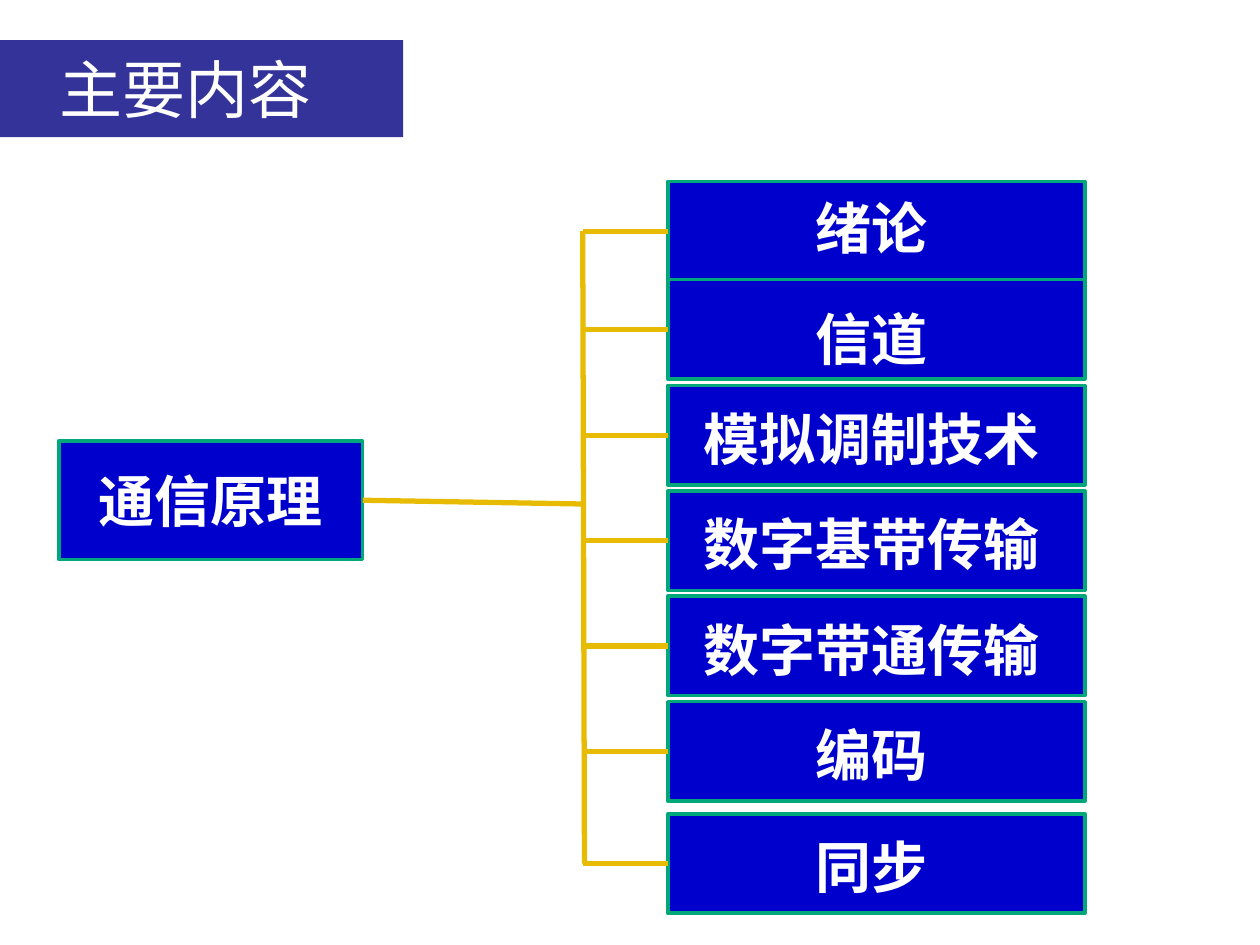
from lxml.etree import SubElement
from pptx import Presentation
from pptx.dml.color import RGBColor
from pptx.enum.shapes import MSO_CONNECTOR, MSO_SHAPE
from pptx.enum.text import MSO_ANCHOR, PP_ALIGN
from pptx.oxml.ns import qn
from pptx.util import Pt

TITLE_FILL = "333399"
BOX_FILL = "0000CC"
BOX_LINE = "00A77A"
BRANCH = "E7BB01"
WHITE = "FFFFFF"
TITLE_FONT = "Noto Sans CJK SC"
BODY_FONT = "Lato"


def color(value):
    return RGBColor.from_string(value)


class TreeSlide:
    def __init__(self, presentation):
        self.slide = presentation.slides.add_slide(presentation.slide_layouts[6])
        self.shapes = self.slide.shapes

    def rectangle(self, left, top, width, height, fill, line=None):
        shape = self.shapes.add_shape(
            MSO_SHAPE.RECTANGLE, Pt(left), Pt(top), Pt(width), Pt(height))
        shape.shadow.inherit = False
        shape.fill.solid()
        shape.fill.fore_color.rgb = color(fill)
        if line:
            shape.line.color.rgb = color(line)
            shape.line.width = Pt(2)
        else:
            shape.line.fill.background()
        return shape

    def add_text(self, shape, text, size, font, bold, align):
        shape.text_frame.word_wrap = True
        paragraph = shape.text_frame.paragraphs[0]
        paragraph.alignment = align
        run = paragraph.add_run()
        run.text = text
        run.font.size = Pt(size)
        run.font.bold = bold
        run.font.color.rgb = color(WHITE)
        run.font.name = font
        SubElement(run._r.get_or_add_rPr(), qn("a:ea"), typeface=font)

    def title(self, text):
        shape = self.rectangle(0, 23, 230.4, 55.4, TITLE_FILL)
        shape.text_frame.margin_left = Pt(34)
        shape.text_frame.vertical_anchor = MSO_ANCHOR.MIDDLE
        self.add_text(shape, text, 36, TITLE_FONT, False, PP_ALIGN.LEFT)

    def label(self, text, left, top, width):
        shape = self.shapes.add_textbox(Pt(left), Pt(top), Pt(width), Pt(46))
        self.add_text(shape, text, 32, BODY_FONT, True, PP_ALIGN.CENTER)

    def connector(self, start, end, box=None, side=None):
        line = self.shapes.add_connector(
            MSO_CONNECTOR.STRAIGHT, *(Pt(value) for value in (*start, *end)))
        line.line.color.rgb = color(BRANCH)
        line.line.width = Pt(3)
        SubElement(line._element.spPr, qn("a:effectLst"))
        if box is not None:
            line.begin_connect(box, side)


def main():
    presentation = Presentation()
    presentation.slide_width = Pt(720)
    presentation.slide_height = Pt(540)
    tree = TreeSlide(presentation)
    tree.title("主要内容")

    root = tree.rectangle(33.8, 252, 173.5, 67.7, BOX_FILL, BOX_LINE)
    tree.label("通信原理", 40.3, 262.8, 160.6)

    chapters = [
        ("绪论", 103.7, 3.6),
        ("信道", 159.8, 10.8),
        ("模拟调制技术", 220.3, 7.2),
        ("数字基带传输", 280.6, 7.2),
        ("数字带通传输", 340.7, 7.2),
        ("编码", 401, 7.2),
        ("同步", 465.1, 7.2),
    ]
    left, height, trunk = 381.6, 56.8, 333
    boxes = []
    for text, top, offset in chapters:
        box = tree.rectangle(left, top, 238.3, height, BOX_FILL, BOX_LINE)
        tree.label(text, 388.1, top + offset, 220.3)
        boxes.append((box, top + height / 2))

    tree.connector((207.3, 285.85), (trunk, 288), root, 3)
    for box, middle in boxes:
        tree.connector((left, middle), (trunk, middle), box, 1)
    tree.connector((trunk, boxes[0][1]), (trunk + 1, boxes[-1][1]))

    presentation.save("out.pptx")


if __name__ == "__main__":
    main()
